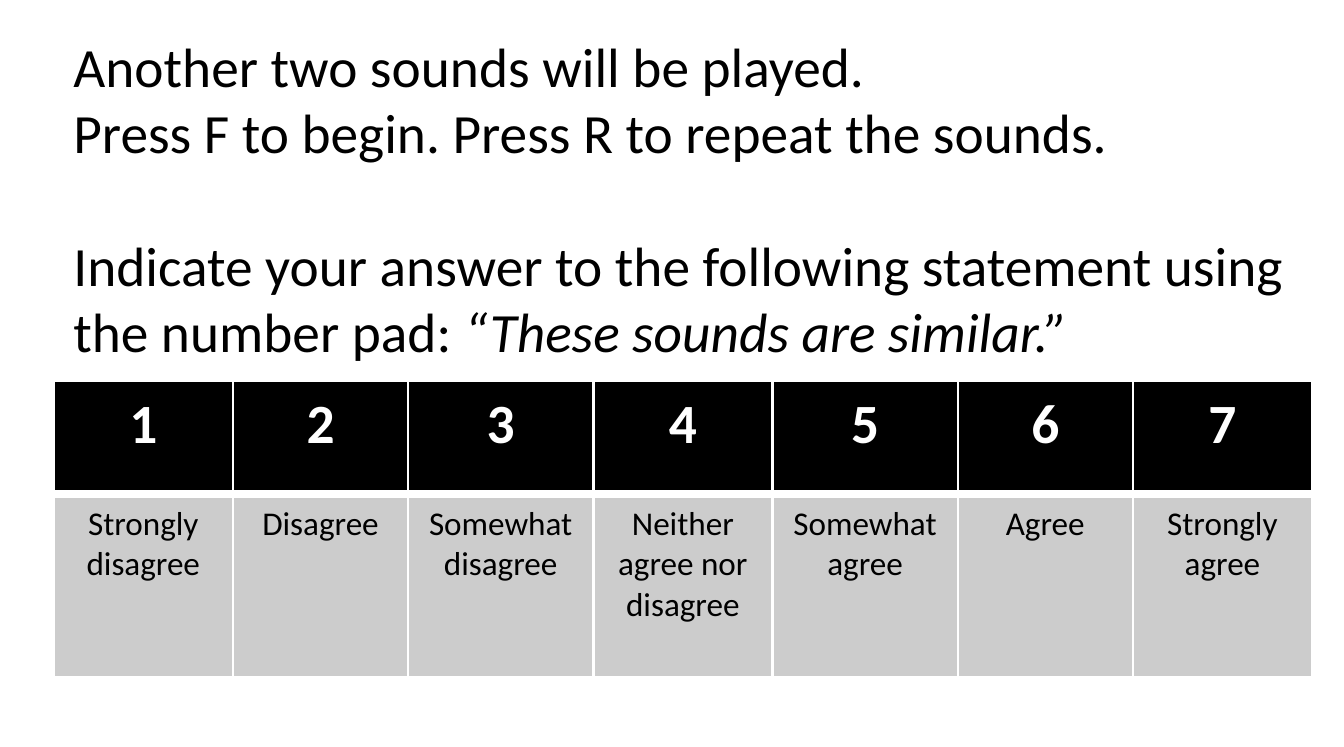
from dataclasses import dataclass

from lxml import etree
from pptx import Presentation
from pptx.dml.color import RGBColor
from pptx.enum.text import PP_ALIGN
from pptx.oxml.ns import qn
from pptx.util import Inches, Pt

CENTER = PP_ALIGN.CENTER
FONT = "Calibri"
BLACK, WHITE, GREY = "000000", "FFFFFF", "CCCCCC"
LEFT, WIDTH = 0.27, 6.32
THIN, THICK = 1, 3


@dataclass
class Answer:
    label: str
    width: float


@dataclass
class RowStyle:
    height: float
    size: int
    bold: bool
    color: str
    fill: str
    top: int
    bottom: int


ANSWERS = [
    Answer("Strongly disagree", 0.9),
    Answer("Disagree", 0.88),
    Answer("Somewhat disagree", 0.93),
    Answer("Neither agree nor disagree", 0.9),
    Answer("Somewhat agree", 0.93),
    Answer("Agree", 0.88),
    Answer("Strongly agree", 0.9),
]
NUMBER_ROW = RowStyle(0.57, 20, True, WHITE, BLACK, THIN, THICK)
LABEL_ROW = RowStyle(0.92, 12, False, BLACK, GREY, THICK, THIN)


def rgb(value: str) -> RGBColor:
    return RGBColor.from_string(value)


def style_paragraph(paragraph, size: int, color: str, bold: bool = False) -> None:
    font = paragraph.font
    font.name, font.size, font.bold = FONT, Pt(size), bold
    font.color.rgb = rgb(color)


def add_border(cell, side: str, points: int) -> None:
    properties = cell._tc.get_or_add_tcPr()
    line = etree.SubElement(properties, qn(f"a:ln{side}"), w=str(Pt(points)))
    fill = etree.SubElement(line, qn("a:solidFill"))
    etree.SubElement(fill, qn("a:srgbClr"), val=WHITE)


def fill_cell(cell, text: str, style: RowStyle) -> None:
    cell.text = text
    # Slightly slim side margins keep the longest word on one line
    cell.margin_left = cell.margin_right = Inches(0.09)
    paragraph = cell.text_frame.paragraphs[0]
    paragraph.alignment = CENTER
    style_paragraph(paragraph, style.size, style.color, style.bold)
    borders = {"L": THIN, "R": THIN, "T": style.top, "B": style.bottom}
    for side, points in borders.items():
        add_border(cell, side, points)
    cell.fill.solid()
    cell.fill.fore_color.rgb = rgb(style.fill)


def add_instructions(slide) -> None:
    box = slide.shapes.add_textbox(Inches(LEFT), Inches(0.11), Inches(WIDTH), Inches(1.78))
    frame = box.text_frame
    frame.word_wrap = True
    frame.text = "\n".join([
        "Another two sounds will be played.",
        "Press F to begin. Press R to repeat the sounds.",
        "Indicate your answer to the following statement using the number pad: ",
    ])
    for paragraph in frame.paragraphs:
        style_paragraph(paragraph, 20, BLACK)
    question = frame.paragraphs[-1]
    question.space_before = Pt(24)
    statement = question.add_run()
    statement.text = "“These sounds are similar.”"
    statement.font.italic = True


def add_answer_scale(slide) -> None:
    rows = [
        (NUMBER_ROW, [str(number) for number in range(1, len(ANSWERS) + 1)]),
        (LABEL_ROW, [answer.label for answer in ANSWERS]),
    ]
    scale = slide.shapes.add_table(
        len(rows), len(ANSWERS), Inches(LEFT), Inches(1.91), Inches(WIDTH), Inches(1.49)
    ).table
    for column, answer in zip(scale.columns, ANSWERS):
        column.width = Inches(answer.width)
    for row, (style, texts) in zip(scale.rows, rows):
        row.height = Inches(style.height)
        for cell, text in zip(row.cells, texts):
            fill_cell(cell, text, style)


def main() -> None:
    deck = Presentation()
    deck.slide_width, deck.slide_height = Inches(6.75), Inches(3.75)
    slide = deck.slides.add_slide(deck.slide_layouts[6])

    # Instructions above the scale
    add_instructions(slide)

    # Seven-point answer scale
    add_answer_scale(slide)

    deck.save("out.pptx")


if __name__ == "__main__":
    main()
